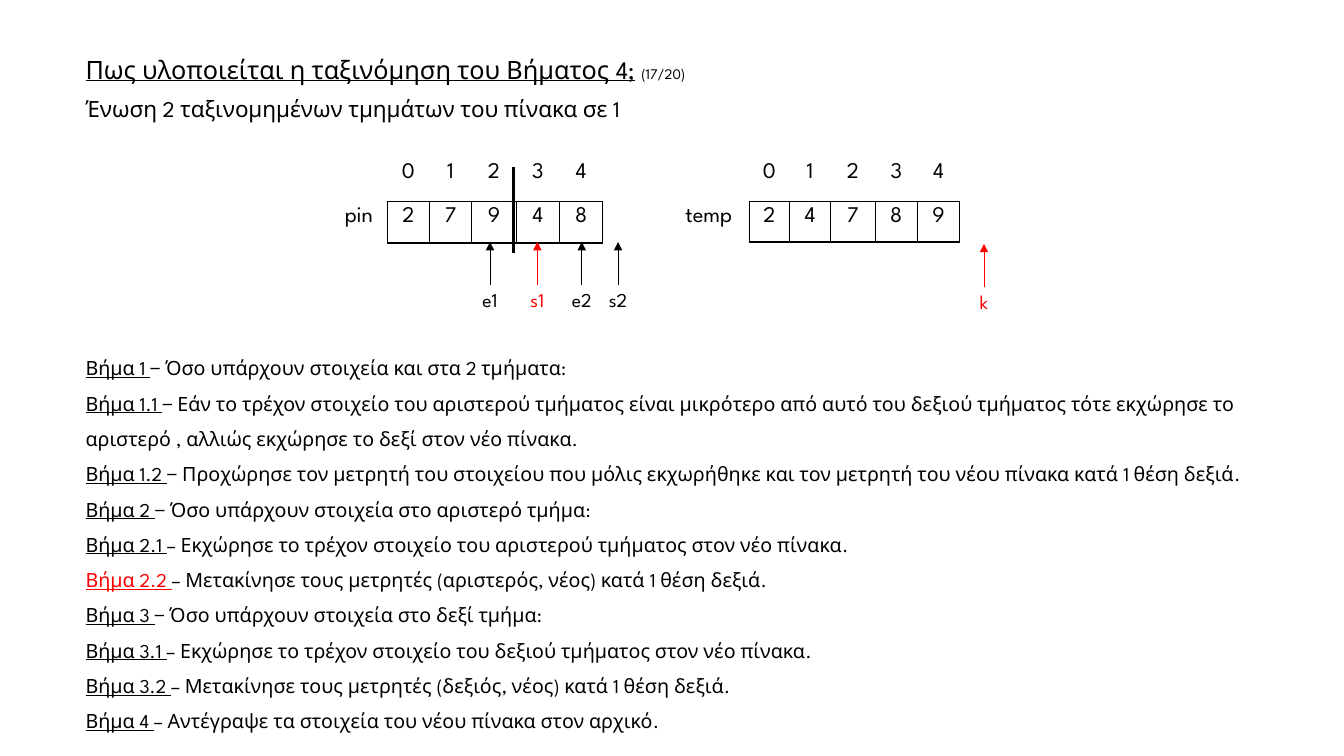
import pptx
import pptx.util
import pptx.dml.color
import pptx.enum.shapes
import pptx.enum.text
from lxml import etree
from pptx.oxml.ns import qn

Inches = pptx.util.Inches
Pt = pptx.util.Pt
FONT = "League Spartan"
BLACK = "000000"
RED = "FF0000"
CENTER = pptx.enum.text.PP_ALIGN.CENTER

STEPS = [
    ("Βήμα 1 ", "− Όσο υπάρχουν στοιχεία και στα 2 τμήματα:"),
    ("Βήμα 1.1 ", "− Εάν το τρέχον στοιχείο του αριστερού τμήματος είναι μικρότερο από αυτό "
     "του δεξιού τμήματος τότε εκχώρησε το αριστερό , αλλιώς εκχώρησε το δεξί στον νέο πίνακα."),
    ("Βήμα 1.2 ", "− Προχώρησε τον μετρητή του στοιχείου που μόλις εκχωρήθηκε και τον μετρητή "
     "του νέου πίνακα κατά 1 θέση δεξιά."),
    ("Βήμα 2 ", "− Όσο υπάρχουν στοιχεία στο αριστερό τμήμα:"),
    ("Βήμα 2.1 ", "– Εκχώρησε το τρέχον στοιχείο του αριστερού τμήματος στον νέο πίνακα."),
    ("Βήμα 2.2 ", "– Μετακίνησε τους μετρητές (αριστερός, νέος) κατά 1 θέση δεξιά."),
    ("Βήμα 3 ", "− Όσο υπάρχουν στοιχεία στο δεξί τμήμα:"),
    ("Βήμα 3.1 ", "– Εκχώρησε το τρέχον στοιχείο του δεξιού τμήματος στον νέο πίνακα."),
    ("Βήμα 3.2 ", "– Μετακίνησε τους μετρητές (δεξιός, νέος) κατά 1 θέση δεξιά."),
    ("Βήμα 4 ", "– Αντέγραψε τα στοιχεία του νέου πίνακα στον αρχικό."),
]
CURRENT_STEP = "Βήμα 2.2 "


def rgb(value):
    return pptx.dml.color.RGBColor.from_string(value)


def add_run(p, text, size=14, color=BLACK, underline=False):
    r = p.add_run()
    r.text = text
    r.font.name = FONT
    r.font.size = Pt(size)
    r.font.color.rgb = rgb(color)
    r.font.underline = underline


def add_text(s, x, y, w, h, paragraphs, spacing=0.9, before=10, align=None):
    tf = s.shapes.add_textbox(Inches(x), Inches(y), Inches(w), Inches(h)).text_frame
    tf.word_wrap = True
    for i, runs in enumerate(paragraphs):
        p = tf.paragraphs[0] if i == 0 else tf.add_paragraph()
        p.line_spacing = spacing
        p.space_before = Pt(before)
        p.alignment = align
        for text, fmt in runs:
            add_run(p, text, **fmt)


def add_line(s, x, y1, y2, color=BLACK, width=0.5, arrow=False):
    sp = s.shapes.add_connector(pptx.enum.shapes.MSO_CONNECTOR.STRAIGHT,
                                Inches(x), Inches(y1), Inches(x), Inches(y2))
    sp.line.color.rgb = rgb(color)
    sp.line.width = Pt(width)
    if arrow:
        etree.SubElement(sp.line._get_or_add_ln(), qn("a:tailEnd"), type="triangle")
    etree.SubElement(sp._element.spPr, qn("a:effectLst"))


def add_pointer(s, x, y, label, color=BLACK):
    add_text(s, x - 0.235, y, 0.47, 0.35, [[(label, dict(color=color))]], align=CENTER)
    add_line(s, x, y, y - 0.43, color, arrow=True)


def set_borders(cell, sides):
    tcPr = cell._tc.get_or_add_tcPr()
    for i, side in enumerate("LRTB"):
        ln = etree.Element(qn("a:ln" + side), w=str(Pt(1)))
        if side in sides:
            fill = etree.SubElement(ln, qn("a:solidFill"))
            etree.SubElement(fill, qn("a:srgbClr"), val=BLACK)
        else:
            etree.SubElement(ln, qn("a:noFill"))
        tcPr.insert(i, ln)


def add_array(s, x, y, name, values, widths, heights):
    rows = [[""] + list(range(len(values))), [name] + values]
    frame = s.shapes.add_table(2, len(widths), Inches(x), Inches(y),
                               Inches(sum(widths)), Inches(sum(heights)))
    table = frame.table
    table.first_row = table.horz_banding = False
    for col, width in zip(table.columns, widths):
        col.width = Inches(width)
    for i, row in enumerate(rows):
        table.rows[i].height = Inches(heights[i])
        for j, value in enumerate(row):
            cell = table.cell(i, j)
            cell.fill.background()
            if i == 0:
                set_borders(cell, "B" if j else "")
            else:
                set_borders(cell, "LRTB" if j else "R")
            p = cell.text_frame.paragraphs[0]
            p.alignment = CENTER
            if value != "":
                add_run(p, str(value), size=16)


def main():
    prs = pptx.Presentation()
    prs.slide_width, prs.slide_height = Inches(13.33), Inches(7.5)
    s = prs.slides.add_slide(prs.slide_layouts[6])

    add_text(s, 0.75, 0.52, 10.79, 0.77, [
        [("Πως υλοποιείται η ταξινόμηση του Βήματος 4;", dict(size=18, underline=True)),
         (" ", dict(size=18)), ("(17/20)", dict(size=10.5))],
        [("Ένωση 2 ταξινομημένων τμημάτων του πίνακα σε 1", dict(size=16))],
    ])
    add_text(s, 0.75, 3.37, 12.35, 3.94, [
        [(step, dict(underline=True, color=RED if step == CURRENT_STEP else BLACK)), (text, {})]
        for step, text in STEPS
    ], spacing=1.5, before=0)

    add_array(s, 3.28, 1.57, "pin", [2, 7, 9, 4, 8],
              [0.56, 0.42, 0.42, 0.44, 0.43, 0.43], [0.43, 0.41])
    add_array(s, 6.63, 1.57, "temp", [2, 4, 7, 8, 9],
              [0.8, 0.4, 0.41, 0.44, 0.42, 0.42], [0.43, 0.4])
    add_line(s, 5.09, 2.51, 1.66, width=2.25)

    for label, x, color in [("e1", 4.86, BLACK), ("s1", 5.33, RED),
                            ("e2", 5.77, BLACK), ("s2", 6.13, BLACK)]:
        add_pointer(s, x, 2.83, label, color)
    add_pointer(s, 9.76, 2.85, "k", RED)

    prs.save("out.pptx")


main()
